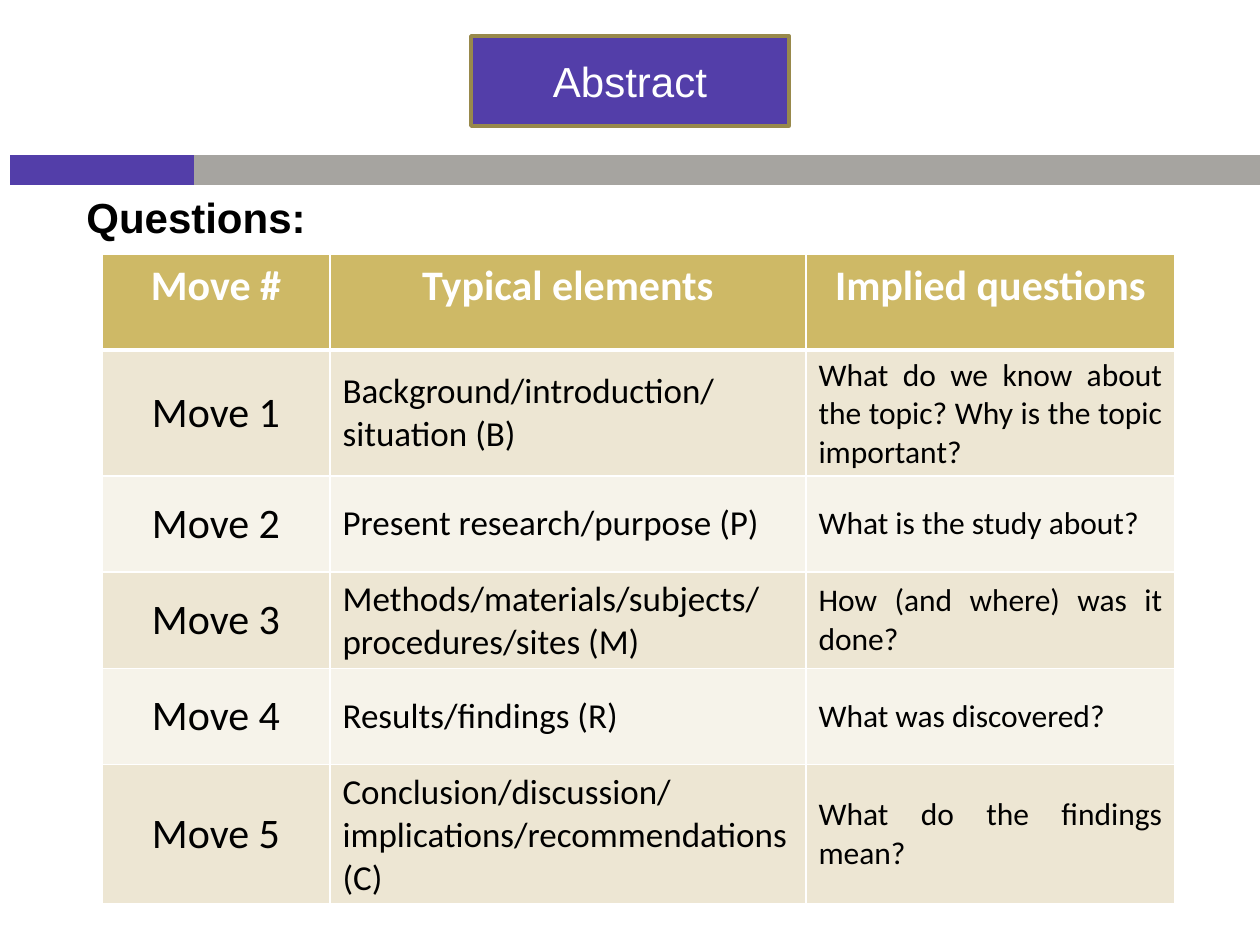
from dataclasses import dataclass

from lxml.etree import SubElement
from pptx import Presentation
from pptx.dml.color import RGBColor
from pptx.enum.shapes import MSO_SHAPE
from pptx.enum.text import MSO_ANCHOR, PP_ALIGN
from pptx.oxml.ns import qn
from pptx.slide import Slide
from pptx.table import _Cell
from pptx.text.text import TextFrame
from pptx.util import Emu, Pt

EMU_PER_PX = 914400 / 126


@dataclass(frozen=True)
class Theme:
    purple: str = "533EA9"
    gray: str = "A6A4A0"
    gold: str = "CEB966"
    dark_gold: str = "98894B"
    bands: tuple[str, str] = ("EDE6D3", "F6F3EA")
    white: str = "FFFFFF"
    black: str = "000000"
    heading_font: str = "Arial"
    table_font: str = "Calibri"
    large: int = 24
    medium: int = 20
    small: int = 18


@dataclass(frozen=True)
class Box:
    left: int
    top: int
    width: int
    height: int

    def emu(self) -> tuple[Emu, Emu, Emu, Emu]:
        return px(self.left), px(self.top), px(self.width), px(self.height)


@dataclass(frozen=True)
class Bar:
    box: Box
    color: str


@dataclass(frozen=True)
class TextStyle:
    font: str
    size: int
    color: str
    bold: bool = False
    align: PP_ALIGN = PP_ALIGN.LEFT


@dataclass(frozen=True)
class Move:
    name: str
    elements: str
    question: str


THEME = Theme()
BARS = (
    Bar(Box(10, 155, 184, 30), THEME.purple),
    Bar(Box(194, 155, 1066, 30), THEME.gray),
)
TITLE_BOX = Box(471, 36, 318, 90)
QUESTIONS_BOX = Box(74, 185, 1123, 714)
TABLE_BOX = Box(102, 254, 1073, 576)
COLUMN_WIDTHS = (228, 476, 369)
HEADERS = ("Move #", "Typical elements", "Implied questions")
MOVES = (
    Move("Move 1", "Background/introduction/\nsituation (B)",
         "What do we know about the topic? Why is the topic important?"),
    Move("Move 2", "Present research/purpose (P)", "What is the study about?"),
    Move("Move 3", "Methods/materials/subjects/\nprocedures/sites (M)",
         "How (and where) was it done?"),
    Move("Move 4", "Results/findings (R)", "What was discovered?"),
    Move("Move 5", "Conclusion/discussion/\nimplications/recommendations (C)",
         "What do the findings mean?"),
)
TITLE_STYLE = TextStyle(THEME.heading_font, THEME.large, THEME.white, align=PP_ALIGN.CENTER)
QUESTIONS_STYLE = TextStyle(THEME.heading_font, THEME.large, THEME.black, bold=True)
HEADER_STYLE = TextStyle(THEME.table_font, THEME.large, THEME.white, True, PP_ALIGN.CENTER)
COLUMN_STYLES = (
    TextStyle(THEME.table_font, THEME.large, THEME.black, align=PP_ALIGN.CENTER),
    TextStyle(THEME.table_font, THEME.medium, THEME.black, align=PP_ALIGN.JUSTIFY),
    TextStyle(THEME.table_font, THEME.small, THEME.black, align=PP_ALIGN.JUSTIFY),
)


def px(value: int) -> Emu:
    return Emu(round(value * EMU_PER_PX))


def rgb(color: str) -> RGBColor:
    return RGBColor.from_string(color)


def write_text(text_frame: TextFrame, text: str, style: TextStyle) -> None:
    text_frame.text = text
    for paragraph in text_frame.paragraphs:
        paragraph.alignment = style.align
        for run in paragraph.runs:
            run.font.name = style.font
            run.font.size = Pt(style.size)
            run.font.bold = style.bold
            run.font.color.rgb = rgb(style.color)


def draw_bar(slide: Slide, bar: Bar) -> None:
    shape = slide.shapes.add_shape(MSO_SHAPE.RECTANGLE, *bar.box.emu())
    shape.shadow.inherit = False
    shape.fill.solid()
    shape.fill.fore_color.rgb = rgb(bar.color)
    shape.line.fill.background()


def draw_title(slide: Slide) -> None:
    title = slide.shapes.title
    title.left, title.top, title.width, title.height = TITLE_BOX.emu()
    geometry = SubElement(title.element.spPr, qn("a:prstGeom"), prst="ellipse")
    SubElement(geometry, qn("a:avLst"))
    title.fill.solid()
    title.fill.fore_color.rgb = rgb(THEME.purple)
    title.line.color.rgb = rgb(THEME.dark_gold)
    title.line.width = Pt(2)
    title.text_frame.vertical_anchor = MSO_ANCHOR.MIDDLE
    write_text(title.text_frame, "Abstract", TITLE_STYLE)


def draw_questions_label(slide: Slide) -> None:
    text_frame = slide.shapes.add_textbox(*QUESTIONS_BOX.emu()).text_frame
    text_frame.word_wrap = True
    write_text(text_frame, "Questions:", QUESTIONS_STYLE)


def set_borders(cell: _Cell, bottom_width: int, top_width: int) -> None:
    properties = cell._tc.get_or_add_tcPr()
    widths = {"a:lnL": 1, "a:lnR": 1, "a:lnT": top_width, "a:lnB": bottom_width}
    for tag, width in widths.items():
        line = SubElement(properties, qn(tag), w=str(Pt(width)))
        fill = SubElement(line, qn("a:solidFill"))
        SubElement(fill, qn("a:srgbClr"), val=THEME.white)


def draw_table(slide: Slide) -> None:
    rows = [HEADERS] + [(move.name, move.elements, move.question) for move in MOVES]
    table = slide.shapes.add_table(len(rows), len(HEADERS), *TABLE_BOX.emu()).table
    for column, width in zip(table.columns, COLUMN_WIDTHS):
        column.width = px(width)
    for row_index, texts in enumerate(rows):
        is_header = row_index == 0
        color = THEME.gold if is_header else THEME.bands[(row_index - 1) % 2]
        for column_index, text in enumerate(texts):
            cell = table.cell(row_index, column_index)
            set_borders(cell, 3 if is_header else 1, 3 if row_index == 1 else 1)
            cell.fill.solid()
            cell.fill.fore_color.rgb = rgb(color)
            cell.vertical_anchor = MSO_ANCHOR.TOP if is_header else MSO_ANCHOR.MIDDLE
            write_text(cell.text_frame, text,
                       HEADER_STYLE if is_header else COLUMN_STYLES[column_index])


def main() -> None:
    presentation = Presentation()
    presentation.slide_width = px(1260)
    presentation.slide_height = px(945)
    slide = presentation.slides.add_slide(presentation.slide_layouts.get_by_name("Title Only"))
    for bar in BARS:
        draw_bar(slide, bar)
    draw_questions_label(slide)
    draw_title(slide)
    draw_table(slide)
    presentation.save("out.pptx")


if __name__ == "__main__":
    main()
